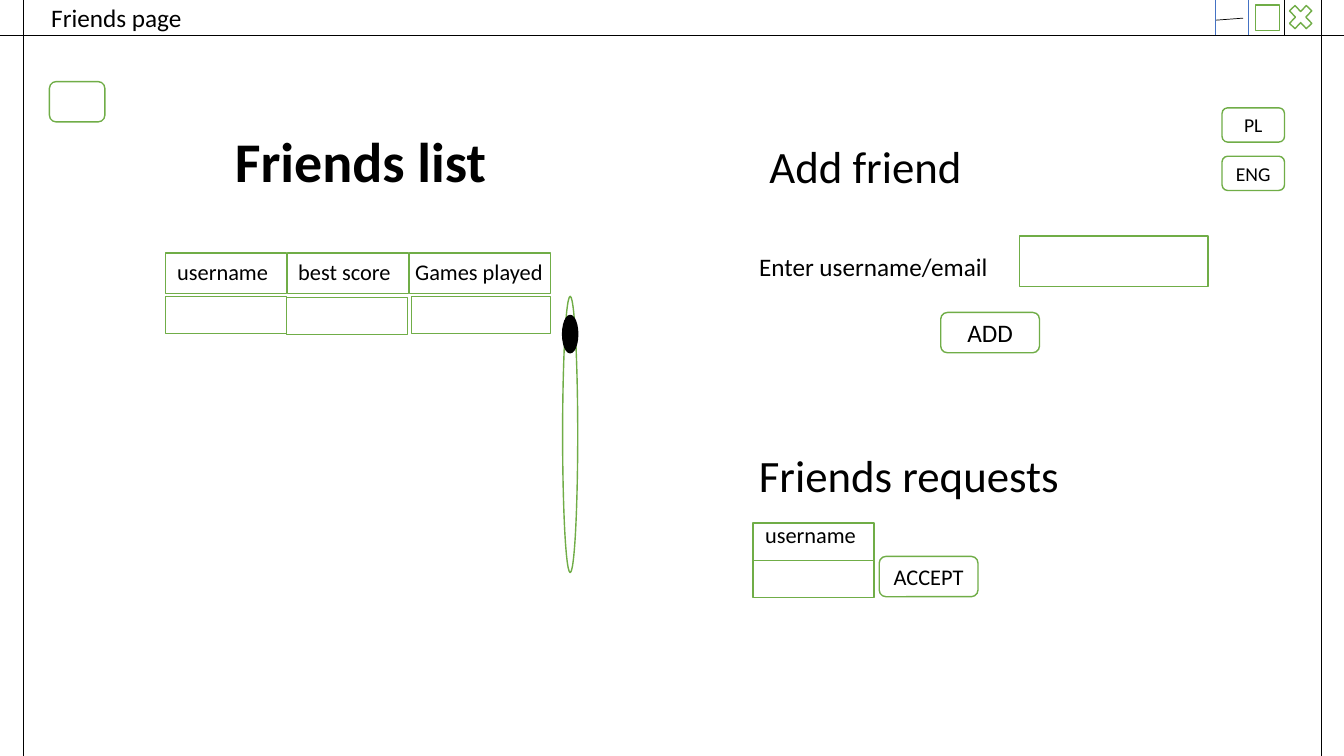
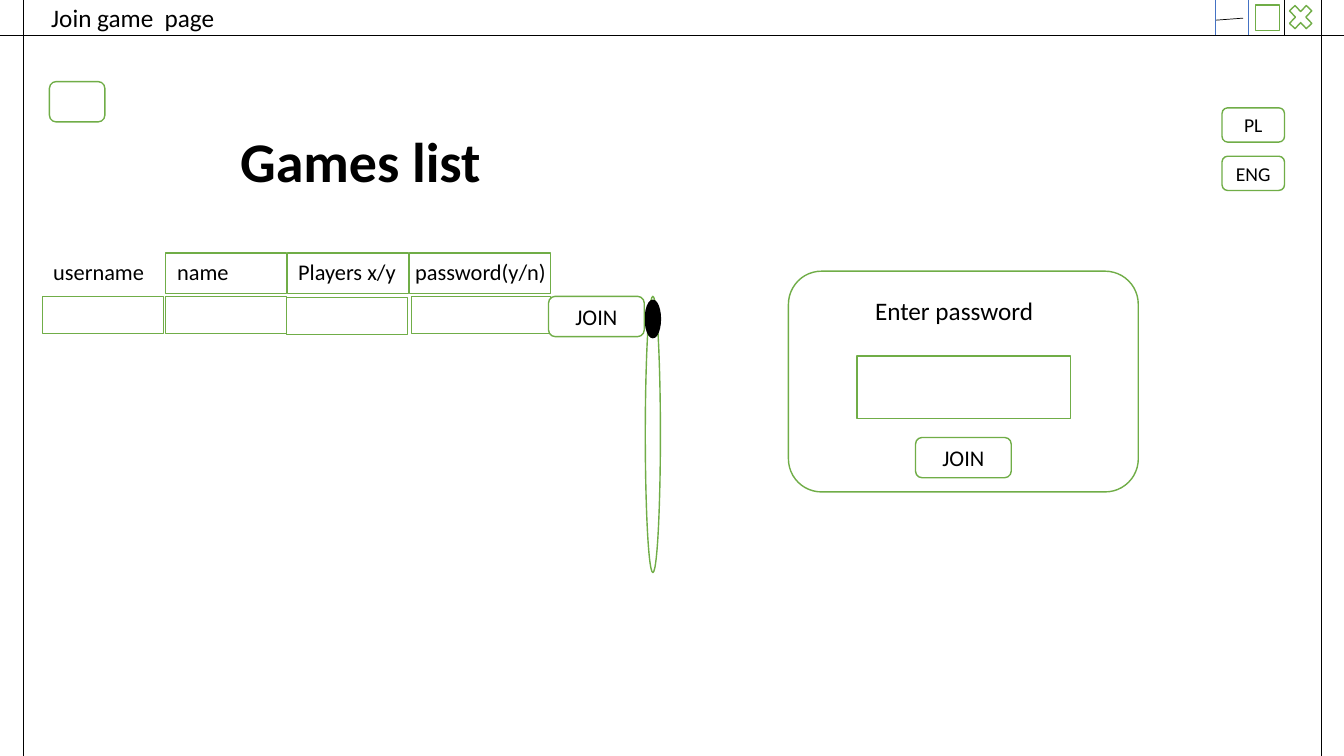
from dataclasses import dataclass

from lxml import etree
from pptx import Presentation
from pptx import util as u
from pptx.dml.color import RGBColor
from pptx.enum import shapes, text
from pptx.oxml.ns import qn

# Shared look
BLACK = RGBColor(0x00, 0x00, 0x00)
WHITE = RGBColor(0xFF, 0xFF, 0xFF)
GREEN = RGBColor(0x70, 0xAD, 0x47)
BLUE = RGBColor(0x44, 0x72, 0xC4)
FONT = "Calibri"
WIDE, HIGH, BAR = 13.33, 7.5, 0.35

KIND = shapes.MSO_SHAPE
RECT, ROUND, OVAL = KIND.RECTANGLE, KIND.ROUNDED_RECTANGLE, KIND.OVAL
LEFT, MID = text.PP_ALIGN.LEFT, text.PP_ALIGN.CENTER
TOP, CORE = text.MSO_ANCHOR.TOP, text.MSO_ANCHOR.MIDDLE


@dataclass(frozen=True)
class Box:
    x: float
    y: float
    w: float
    h: float

    def emu(self) -> tuple:
        return tuple(u.Inches(v) for v in (self.x, self.y, self.w, self.h))


@dataclass(frozen=True)
class Rule:
    x1: float
    y1: float
    x2: float
    y2: float
    color: RGBColor = BLACK


@dataclass(frozen=True)
class Column:
    label: str
    head: Box
    cell: Box
    left: float
    framed: bool = True


RULES = (
    Rule(0, BAR, WIDE, BAR),
    Rule(13.11, 0, 13.11, HIGH),
    Rule(0.23, 0, 0.23, HIGH),
    Rule(12.06, 0.2, 12.33, 0.18),
    Rule(12.05, BAR, 12.05, 0, BLUE),
    Rule(12.38, BAR, 12.38, 0, BLUE),
    Rule(12.74, BAR, 12.74, 0),
)


# Drawing helpers
def write(shape, words: str, *, size: float = 16, bold: bool = False,
          align=LEFT, anchor=TOP, space: float = 1.0) -> None:
    frame = shape.text_frame
    frame.word_wrap = True
    frame.vertical_anchor = anchor
    para = frame.paragraphs[0]
    para.alignment = align
    para.line_spacing = space
    run = para.add_run()
    run.text = words
    font = run.font
    font.name, font.size, font.bold = FONT, u.Pt(size), bold
    font.color.rgb = BLACK


def label(slide, words: str, box: Box, **form) -> None:
    write(slide.shapes.add_textbox(*box.emu()), words, **form)


def draw(slide, box: Box, kind=RECT, fill: RGBColor = WHITE,
         edge: RGBColor = GREEN):
    shape = slide.shapes.add_shape(kind, *box.emu())
    shape.shadow.inherit = False
    shape.fill.solid()
    shape.fill.fore_color.rgb = fill
    shape.line.color.rgb = edge
    shape.line.width = u.Pt(1)
    return shape


def button(slide, words: str, box: Box, size: float = 16) -> None:
    write(draw(slide, box, ROUND), words, size=size, align=MID, anchor=CORE)


def stroke(slide, rule: Rule) -> None:
    ends = (u.Inches(v) for v in (rule.x1, rule.y1, rule.x2, rule.y2))
    line = slide.shapes.add_connector(shapes.MSO_CONNECTOR.STRAIGHT, *ends)
    line.line.color.rgb = rule.color
    line.line.width = u.Pt(0.5)
    etree.SubElement(line._element.spPr, qn("a:effectLst"))


# Parts found on both slides
def window(deck, title: str, head: str):
    slide = deck.slides.add_slide(deck.slide_layouts[6])
    draw(slide, Box(0.49, 0.81, 0.55, 0.4), ROUND)
    label(slide, title, Box(0.41, 0.04, 6.14, 0.31),
          size=18, anchor=CORE, space=0.9)
    for row, lang in enumerate(("PL", "ENG")):
        button(slide, lang, Box(12.12, 1.07 + row * 0.48, 0.62, 0.34), 14)
    for rule in RULES[:3]:
        stroke(slide, rule)
    draw(slide, Box(12.74, 0, 0.32, 0.34), KIND.MATH_MULTIPLY)
    draw(slide, Box(12.45, 0.05, 0.24, 0.25))
    for rule in RULES[3:]:
        stroke(slide, rule)
    label(slide, head, Box(1.73, 1.21, 3.69, 0.77),
          size=40, bold=True, align=MID)
    return slide


def columns(first: str, second: str, third: str) -> list[Column]:
    return [
        Column(third, Box(4.06, 2.51, 1.4, 0.4),
               Box(4.08, 2.94, 1.38, 0.37), 4.02),
        Column(second, Box(2.85, 2.51, 1.2, 0.4),
               Box(2.84, 2.95, 1.2, 0.37), 2.86),
        Column(first, Box(1.64, 2.51, 1.2, 0.4),
               Box(1.64, 2.94, 1.2, 0.37), 1.66),
    ]


def grid(slide, cols: list[Column]) -> None:
    for col in cols:
        if col.framed:
            draw(slide, col.head)
    for col in reversed(cols):
        draw(slide, col.cell)
        label(slide, col.label, Box(col.left, 2.51, 1.8, 0.37))


def slider(slide, x: float, knob: float) -> None:
    draw(slide, Box(x, 2.94, 0.15, 2.74), OVAL)
    draw(slide, Box(x, knob, 0.15, 0.37), OVAL, BLACK, BLACK)


# Slides
def friends(deck) -> None:
    slide = window(deck, "Friends page", "Friends list")
    grid(slide, columns("username", "best score", "Games played"))
    slider(slide, 5.58, 3.13)

    # Add a friend
    label(slide, "Add friend", Box(6.74, 1.33, 3.69, 0.64),
          size=32, align=MID)
    label(slide, "Enter username/email", Box(7.43, 2.44, 2.55, 0.4), size=18)
    draw(slide, Box(10.11, 2.34, 1.87, 0.5))
    button(slide, "ADD", Box(9.33, 3.1, 0.98, 0.4), 18)

    # Requests
    label(slide, "Friends requests", Box(7.17, 4.39, 3.69, 0.64),
          size=32, align=MID)
    for row in range(2):
        draw(slide, Box(7.47, 5.19 + row * 0.37, 1.2, 0.37))
    label(slide, "username", Box(7.49, 5.12, 1.2, 0.37))
    button(slide, "ACCEPT", Box(8.72, 5.52, 0.98, 0.4))


def games(deck) -> None:
    slide = window(deck, "Join game  page", "Games list")
    user = Column("username", Box(0.42, 2.51, 1.2, 0.4),
                  Box(0.42, 2.94, 1.2, 0.37), 0.43, framed=False)
    grid(slide, columns("name", "Players x/y", "password(y/n)") + [user])
    slider(slide, 6.4, 2.98)
    button(slide, "JOIN", Box(5.44, 2.94, 0.95, 0.4))

    # Password panel
    panel = draw(slide, Box(7.82, 2.69, 3.47, 2.19), ROUND)
    panel.adjustments[0] = 0.15
    draw(slide, Box(8.5, 3.53, 2.12, 0.62))
    button(slide, "JOIN", Box(9.08, 4.34, 0.95, 0.4))
    label(slide, "Enter password", Box(8.58, 2.88, 2.11, 0.4), size=18)


def main() -> None:
    deck = Presentation()
    deck.slide_width, deck.slide_height = u.Inches(WIDE), u.Inches(HIGH)
    friends(deck)
    games(deck)
    deck.save("out.pptx")


if __name__ == "__main__":
    main()
